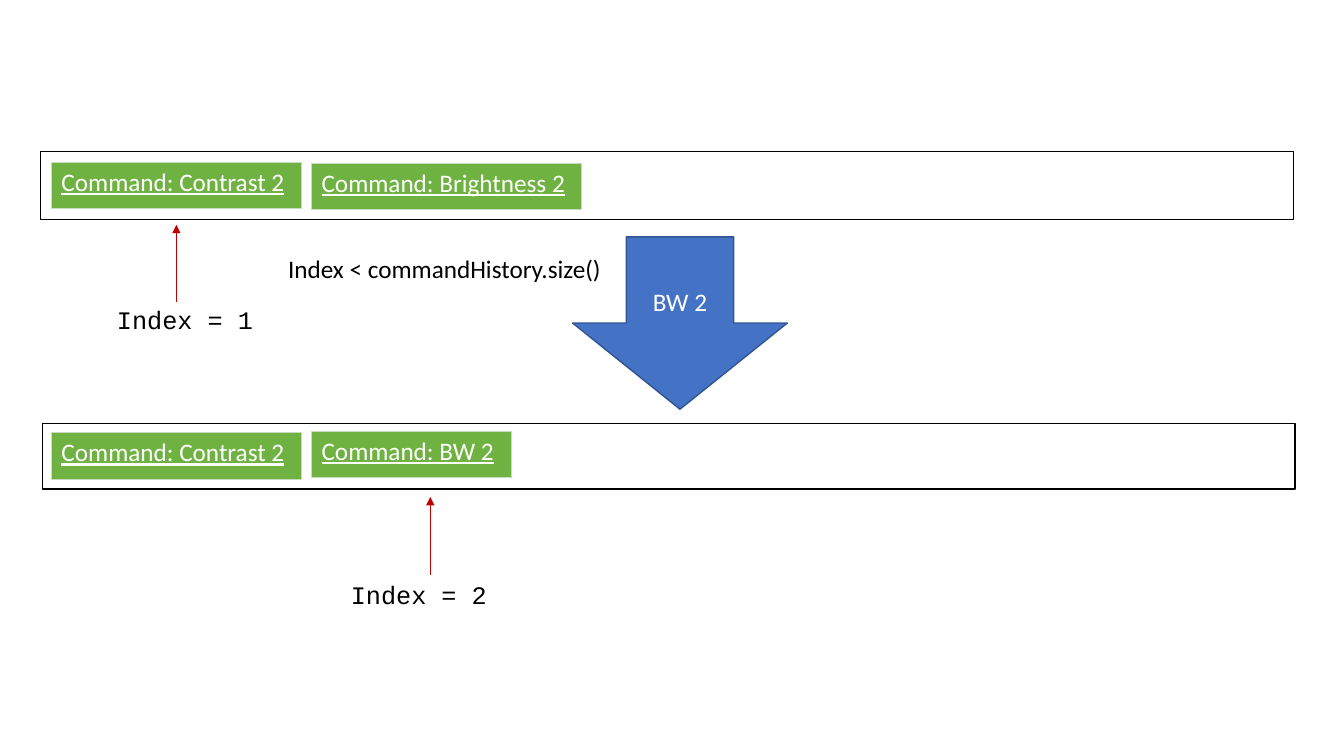
from dataclasses import dataclass

from lxml import etree
from pptx import Presentation
from pptx.dml.color import RGBColor
from pptx.enum.shapes import MSO_CONNECTOR, MSO_SHAPE
from pptx.enum.text import MSO_ANCHOR, MSO_AUTO_SIZE, PP_ALIGN
from pptx.oxml.ns import qn
from pptx.util import Pt

RECT, DOWN = MSO_SHAPE.RECTANGLE, MSO_SHAPE.DOWN_ARROW
STRAIGHT = MSO_CONNECTOR.STRAIGHT
LEFT, CENTER = PP_ALIGN.LEFT, PP_ALIGN.CENTER
MIDDLE, GROW = MSO_ANCHOR.MIDDLE, MSO_AUTO_SIZE.SHAPE_TO_FIT_TEXT


@dataclass(frozen=True)
class Theme:
    ink: str = "000000"
    light: str = "FFFFFF"
    blue: str = "4472C4"
    navy: str = "325491"
    red: str = "C00000"
    green: str = "6FB242"
    pale: str = "C9DBC1"
    sans: str = "Calibri"
    mono: str = "Courier New"
    size: float = 18
    thin: float = 0.5
    line: float = 1


def write(frame, text, *, font, size, color, align=LEFT, underline=None):
    para = frame.paragraphs[0]
    para.alignment = align
    run = para.add_run()
    run.text = text
    run.font.name = font
    run.font.size = Pt(size)
    run.font.underline = underline
    run.font.color.rgb = RGBColor.from_string(color)


class Board:
    """Draws styled elements on one slide, with lengths in points."""

    def __init__(self, slide, theme):
        self.shapes = slide.shapes
        self.theme = theme

    def shape(self, kind, box, edge, fill=None):
        item = self.shapes.add_shape(kind, *map(Pt, box))
        item.shadow.inherit = False
        if fill:
            item.fill.solid()
            item.fill.fore_color.rgb = RGBColor.from_string(fill)
        else:
            item.fill.background()
        item.line.color.rgb = RGBColor.from_string(edge)
        item.line.width = Pt(self.theme.line)
        return item

    def block(self, box, text):
        look = self.theme
        item = self.shape(DOWN, box, look.navy, look.blue)
        item.text_frame.vertical_anchor = MIDDLE
        write(item.text_frame, text, font=look.sans, size=look.size,
              color=look.light, align=CENTER)

    def label(self, box, text, font, align=LEFT, wrap=True):
        frame = self.shapes.add_textbox(*map(Pt, box)).text_frame
        frame.word_wrap = wrap
        frame.auto_size = GROW
        write(frame, text, font=font, size=self.theme.size,
              color=self.theme.ink, align=align)

    def arrow(self, x, start, end):
        item = self.shapes.add_connector(STRAIGHT, Pt(x), Pt(start), Pt(x), Pt(end))
        item.line.color.rgb = RGBColor.from_string(self.theme.red)
        item.line.width = Pt(self.theme.thin)
        etree.SubElement(item.line._get_or_add_ln(), qn("a:tailEnd"), type="triangle")
        etree.SubElement(item._element.spPr, qn("a:effectLst"))

    def table(self, box, text):
        look = self.theme
        grid = self.shapes.add_table(1, 1, *map(Pt, box)).table
        grid.first_row = grid.horz_banding = False
        cell = grid.cell(0, 0)
        props = cell._tc.get_or_add_tcPr()
        for side in ("lnL", "lnR", "lnT", "lnB"):
            edge = etree.SubElement(props, qn(f"a:{side}"), w=str(Pt(look.thin)))
            paint = etree.SubElement(edge, qn("a:solidFill"))
            etree.SubElement(paint, qn("a:srgbClr"), val=look.pale)
        cell.fill.solid()
        cell.fill.fore_color.rgb = RGBColor.from_string(look.green)
        write(cell.text_frame, text, font=look.sans, size=look.size,
              color=look.light, underline=True)


def main():
    deck = Presentation()
    deck.slide_width, deck.slide_height = Pt(960), Pt(540)
    theme = Theme()
    board = Board(deck.slides.add_slide(deck.slide_layouts[6]), theme)

    board.block((409, 169.2, 153.4, 123.1), "BW 2")
    for box in ((28.8, 108, 895, 49), (30.2, 302.4, 895, 46.8)):
        board.shape(RECT, box, theme.ink)
    for left, top, text in ((5.8, 213.8, "Index = 1"), (172.8, 410.4, "Index = 2")):
        board.label((left, top, 252.7, 28.8), text, theme.mono, CENTER)
    for x, start in ((126, 216), (307.4, 410.4)):
        board.arrow(x, start, start - 55.4)
    for left, top, width, name in (
        (36.7, 115.9, 178.6, "Contrast 2"),
        (222.5, 116.6, 193, "Brightness 2"),
        (36.7, 309, 178.6, "Contrast 2"),
        (222.5, 308, 142.6, "BW 2"),
    ):
        board.table((left, top, width, 33.1), f"Command: {name}")
    board.label((198.7, 177.1, 240.5, 28.8), "Index < commandHistory.size()",
                theme.sans, wrap=False)
    deck.save("out.pptx")


if __name__ == "__main__":
    main()
